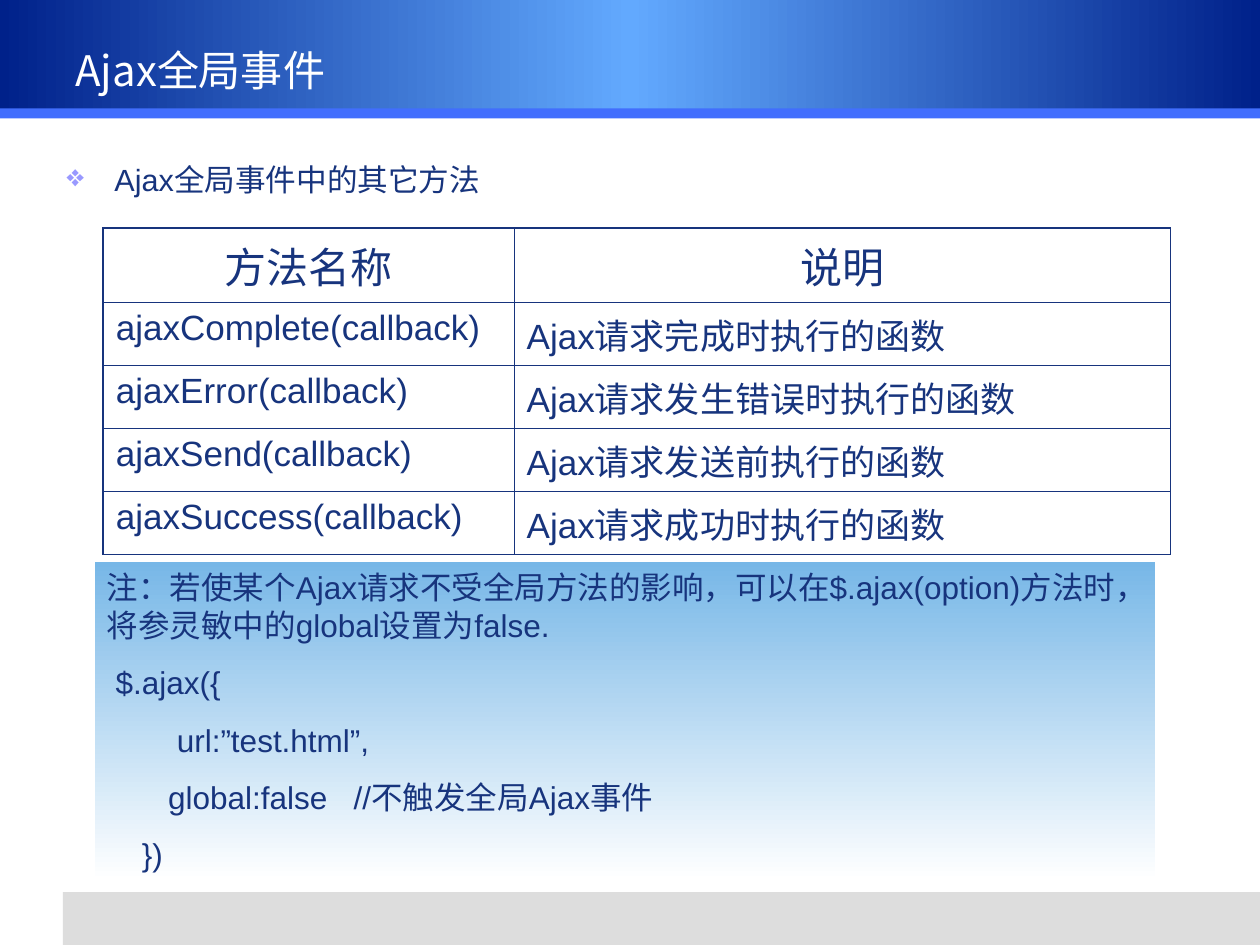
from lxml.etree import SubElement
from pptx import Presentation
from pptx.dml.color import RGBColor
from pptx.enum.shapes import MSO_SHAPE
from pptx.enum.text import MSO_ANCHOR, PP_ALIGN
from pptx.oxml.ns import qn
from pptx.util import Inches, Pt

WHITE = RGBColor(0xFF, 0xFF, 0xFF)
NAVY = RGBColor(0x17, 0x34, 0x7D)
DEEP_BLUE = RGBColor(0x00, 0x21, 0x8A)
BRIGHT_BLUE = RGBColor(0x62, 0xA9, 0xFE)
STRIPE_BLUE = RGBColor(0x41, 0x6E, 0xFD)
NOTE_BLUE = RGBColor(0x77, 0xB7, 0xE7)
LILAC = RGBColor(0x99, 0x99, 0xFF)
GREY = RGBColor(0xDD, 0xDD, 0xDD)

METHODS = [
    ("方法名称", "说明"),
    ("ajaxComplete(callback)", "Ajax请求完成时执行的函数"),
    ("ajaxError(callback)", "Ajax请求发生错误时执行的函数"),
    ("ajaxSend(callback)", "Ajax请求发送前执行的函数"),
    ("ajaxSuccess(callback)", "Ajax请求成功时执行的函数"),
]
NOTE_LINES = [
    "注：若使某个Ajax请求不受全局方法的影响，可以在$.ajax(option)方法时，将参灵敏中的global设置为false.",
    " $.ajax({",
    "        url:”test.html”,",
    "       global:false   //不触发全局Ajax事件",
    "    })",
]


def style(para, size, color=NAVY, name="Arial"):
    para.font.size = Pt(size)
    para.font.name = name
    para.font.color.rgb = color


def add_color(parent, color):
    SubElement(parent, qn("a:srgbClr"), val=str(color))


def add_rectangle(page, box, color=None):
    shape = page.shapes.add_shape(MSO_SHAPE.RECTANGLE, *map(Inches, box))
    shape.shadow.inherit = False
    shape.line.fill.background()
    if color is not None:
        shape.fill.solid()
        shape.fill.fore_color.rgb = color
    return shape


def fill_gradient(shape, colors, angle):
    """Spread the colours evenly along the angle."""
    shape.fill.gradient()
    shape.fill.gradient_angle = angle
    stops = shape._element.spPr.find(qn("a:gradFill")).find(qn("a:gsLst"))
    for stop in list(stops):
        stops.remove(stop)
    for index, color in enumerate(colors):
        position = 100000 * index // (len(colors) - 1)
        add_color(SubElement(stops, qn("a:gs"), pos=str(position)), color)


def add_text(page, box, text):
    frame = page.shapes.add_textbox(*map(Inches, box)).text_frame
    frame.word_wrap = True
    frame.text = text
    return frame


def add_background(page):
    header = add_rectangle(page, (0, 0, 10, 0.92))
    fill_gradient(header, [DEEP_BLUE, BRIGHT_BLUE, DEEP_BLUE], 0)
    add_rectangle(page, (0.5, 7.08, 9.5, 0.42), GREY)
    add_rectangle(page, (0, 0.86, 10, 0.08), STRIPE_BLUE)


def add_title(page, box):
    frame = add_text(page, box, "Ajax全局事件")
    frame.vertical_anchor = MSO_ANCHOR.MIDDLE
    style(frame.paragraphs[0], 24, WHITE, "Noto Sans CJK SC")


def add_bullet(page, box):
    para = add_text(page, box, "Ajax全局事件中的其它方法").paragraphs[0]
    properties = para._p.get_or_add_pPr()
    properties.set("marL", str(Inches(0.38)))
    properties.set("indent", str(-Inches(0.38)))
    add_color(SubElement(properties, qn("a:buClr")), LILAC)
    SubElement(properties, qn("a:buChar"), char="❖")
    style(para, 17.5)


def set_borders(cell, outer_sides):
    """Draw thick lines on the outer sides and thin ones elsewhere."""
    properties = cell._tc.get_or_add_tcPr()
    for index, side in enumerate("LRTB"):
        width = Pt(1.08 if side in outer_sides else 0.45)
        line = SubElement(properties, qn("a:ln" + side), w=str(width))
        add_color(SubElement(line, qn("a:solidFill")), NAVY)
        properties.insert(index, line)


def add_method_table(page, box):
    last = len(METHODS) - 1
    table = page.shapes.add_table(last + 1, 2, *map(Inches, box)).table
    table.first_row = table.horz_banding = False
    for column, width in zip(table.columns, (3.26, 5.21)):
        column.width = Inches(width)
    for row, texts in enumerate(METHODS):
        table.rows[row].height = Inches(0.5 if row else 0.59)
        for column, text in enumerate(texts):
            cell = table.cell(row, column)
            cell.fill.background()
            outer_sides = "LR"[column] + {0: "T", last: "B"}.get(row, "")
            set_borders(cell, outer_sides)
            cell.text = text
            para = cell.text_frame.paragraphs[0]
            para.alignment = PP_ALIGN.LEFT if row else PP_ALIGN.CENTER
            style(para, 20 if row else 24)


def add_note(page, box):
    shape = add_rectangle(page, box)
    fill_gradient(shape, [NOTE_BLUE, WHITE], 270)
    frame = shape.text_frame
    frame.word_wrap = True
    frame.vertical_anchor = MSO_ANCHOR.TOP
    frame.text = "\n".join(NOTE_LINES)
    for index, para in enumerate(frame.paragraphs):
        para.alignment = PP_ALIGN.LEFT
        para.line_spacing = Pt(21.6)
        if index:
            para.space_before = Pt(11.2)
        style(para, 18)


def main():
    deck = Presentation()
    deck.slide_width, deck.slide_height = Inches(10), Inches(7.5)
    page = deck.slides.add_slide(deck.slide_layouts[6])

    # Header and footer bands
    add_background(page)
    add_title(page, (0.5, 0.3, 9, 0.5))

    # Global event methods
    add_bullet(page, (0.43, 1.23, 6.5, 0.42))
    add_method_table(page, (0.82, 1.81, 8.47, 2.59))

    # Note with code sample
    add_note(page, (0.75, 4.46, 8.42, 2.53))
    deck.save("out.pptx")


if __name__ == "__main__":
    main()
